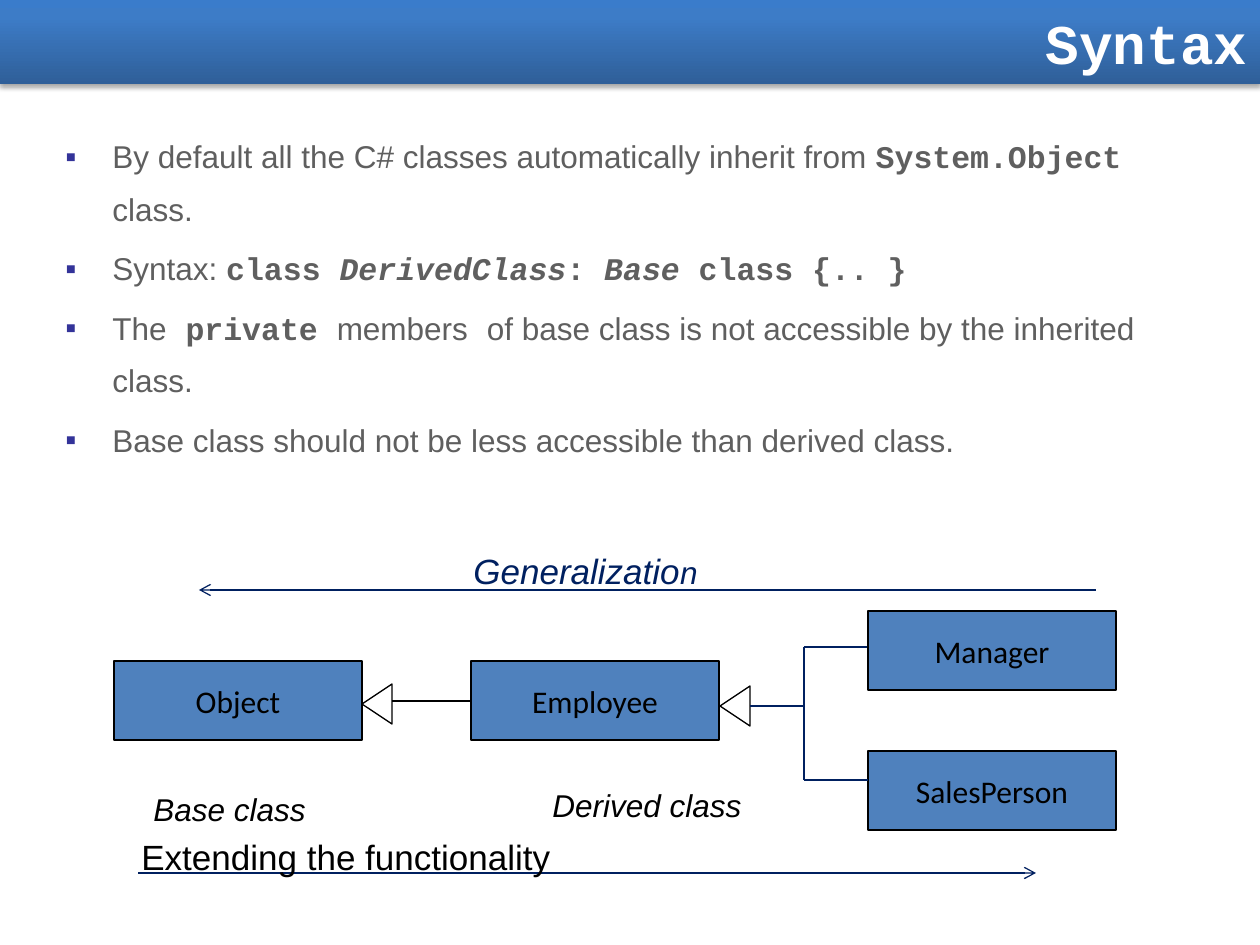
from lxml import etree
from copy import deepcopy
from pptx import Presentation
from pptx.dml.color import RGBColor
from pptx.enum.shapes import MSO_CONNECTOR, MSO_SHAPE
from pptx.enum.text import MSO_ANCHOR, PP_ALIGN
from pptx.oxml import parse_xml
from pptx.oxml.ns import nsdecls, qn
from pptx.util import Pt

RECT, TRI = MSO_SHAPE.RECTANGLE, MSO_SHAPE.ISOSCELES_TRIANGLE
LINE = MSO_CONNECTOR.STRAIGHT
MIDDLE = MSO_ANCHOR.MIDDLE
CENTER, RIGHT = PP_ALIGN.CENTER, PP_ALIGN.RIGHT

BLACK = RGBColor(0, 0, 0)
WHITE = RGBColor(255, 255, 255)
NAVY = RGBColor(0x00, 0x20, 0x60)
BLUE = RGBColor(0x4F, 0x81, 0xBD)
GRAY = RGBColor(0x5F, 0x5F, 0x5F)
BAR = [(0, RGBColor(0x2F, 0x5F, 0x99)), (0.8, RGBColor(0x3D, 0x7C, 0xC7)),
       (1, RGBColor(0x3A, 0x7C, 0xCB))]
SCALE = 914400 / 126


def px(*nums):
    return [round(n * SCALE) for n in nums]


def style(run, size, color, face="Arial", bold=False, italic=False):
    font = run.font
    font.size, font.name, font.color.rgb = Pt(size), face, color
    font.bold, font.italic = bold, italic


prs = Presentation()
prs.slide_width, prs.slide_height = px(1260, 945)
slide = prs.slides.add_slide(prs.slide_layouts[6])
shapes = slide.shapes

# Title bar
bar = shapes.add_shape(RECT, *px(0, 0, 1260, 84))
bar.fill.gradient()
bar.fill.gradient_angle = 90
stops = bar.fill.gradient_stops
stop_list = bar._element.spPr.find(".//" + qn("a:gsLst"))
stop_list.append(deepcopy(stop_list[-1]))
for stop, (pos, color) in zip(bar.fill.gradient_stops, BAR):
    stop.position, stop.color.rgb = pos, color
bar.line.fill.background()
bar._element.spPr.append(parse_xml(
    f'<a:effectLst {nsdecls("a")}><a:outerShdw blurRad="39370" dist="22860" dir="5400000" '
    'rotWithShape="0"><a:srgbClr val="000000"><a:alpha val="35000"/></a:srgbClr>'
    '</a:outerShdw></a:effectLst>'))
frame = bar.text_frame
frame.text, frame.vertical_anchor = "Syntax", MIDDLE
frame.paragraphs[0].alignment = RIGHT
style(frame.paragraphs[0].runs[0], 32, WHITE, "Courier New", bold=True)

# Class boxes
for name, x, y in [("SalesPerson", 868, 751), ("Manager", 868, 611),
                   ("Employee", 471, 661), ("Object", 114, 661)]:
    box = shapes.add_shape(RECT, *px(x, y, 248, 79))
    box.shadow.inherit = False
    box.fill.solid()
    box.fill.fore_color.rgb = BLUE
    box.line.color.rgb, box.line.width = BLACK, Pt(0.75)
    frame = box.text_frame
    frame.text, frame.word_wrap, frame.vertical_anchor = name, False, MIDDLE
    frame.paragraphs[0].alignment = CENTER
    style(frame.paragraphs[0].runs[0], 18, BLACK, "Calibri")

# Inheritance triangles
for x, y in [(357, 689), (715, 691)]:
    tri = shapes.add_shape(TRI, *px(x, y, 40, 30))
    tri.rotation = 270
    tri.shadow.inherit = False
    tri.fill.background()
    tri.line.color.rgb, tri.line.width = BLACK, Pt(0.75)

# Links and direction arrows
for x1, y1, x2, y2, color, end in [
        (392, 701, 471, 701, BLACK, None),
        (750, 706, 804, 706, NAVY, None),
        (804, 647, 804, 780, NAVY, None),
        (804, 780, 868, 780, NAVY, None),
        (804, 647, 867, 647, NAVY, None),
        (1096, 590, 199, 590, NAVY, "a:tailEnd"),
        (1036, 873, 138, 873, NAVY, "a:headEnd")]:
    link = shapes.add_connector(LINE, *px(x1, y1, x2, y2))
    link.line.color.rgb, link.line.width = color, Pt(0.75)
    if end:
        etree.SubElement(link.line._get_or_add_ln(), qn(end), type="arrow")
    etree.SubElement(link._element.spPr, qn("a:effectLst"))

# Labels
for x, y, w, h, color, italic, parts in [
        (141, 784, 178, 50, BLACK, True, [("Base class", 18)]),
        (540, 780, 214, 50, BLACK, True, [("Derived class", 18)]),
        (461, 543, 252, 55, NAVY, True, [("Generalizatio", 20), ("n", 18)]),
        (129, 829, 438, 55, BLACK, False, [("Extending the functionality", 20)])]:
    frame = shapes.add_textbox(*px(x, y, w, h)).text_frame
    frame.word_wrap = False
    for text, size in parts:
        run = frame.paragraphs[0].add_run()
        run.text = text
        style(run, size, color, italic=italic)

# Bullets: t is plain text, b bold code, i bold italic code
points = [
    [("By default all the C# classes automatically inherit from ", "t"),
     ("System.Object ", "b"), ("class.", "t")],
    [("Syntax: ", "t"), ("class ", "b"), ("DerivedClass", "i"), (": ", "b"),
     ("Base", "i"), (" class {.. }", "b")],
    [("The", "t"), (" private ", "b"), ("members", "t"), (" ", "b"),
     ("of base class is not accessible by the inherited class.", "t")],
    [("Base class should not be less accessible than derived class.", "t")]]
frame = shapes.add_textbox(*px(53, 116, 1138, 410)).text_frame
frame.word_wrap = True
for n, parts in enumerate(points):
    para = frame.add_paragraph() if n else frame.paragraphs[0]
    para.line_spacing, para.space_before = 1.4, Pt(3.6)
    props = para._p.get_or_add_pPr()
    indent = px(47)[0]
    props.set("marL", str(indent))
    props.set("indent", str(-indent))
    tint = etree.SubElement(props, qn("a:buClr"))
    etree.SubElement(tint, qn("a:srgbClr"), val="333399")
    etree.SubElement(props, qn("a:buFont"), typeface="Arial")
    etree.SubElement(props, qn("a:buChar"), char="▪")
    for text, kind in parts:
        run = para.add_run()
        run.text = text
        code = kind != "t"
        style(run, 18, GRAY, "Courier New" if code else "Arial", code, kind == "i")

prs.save("out.pptx")
